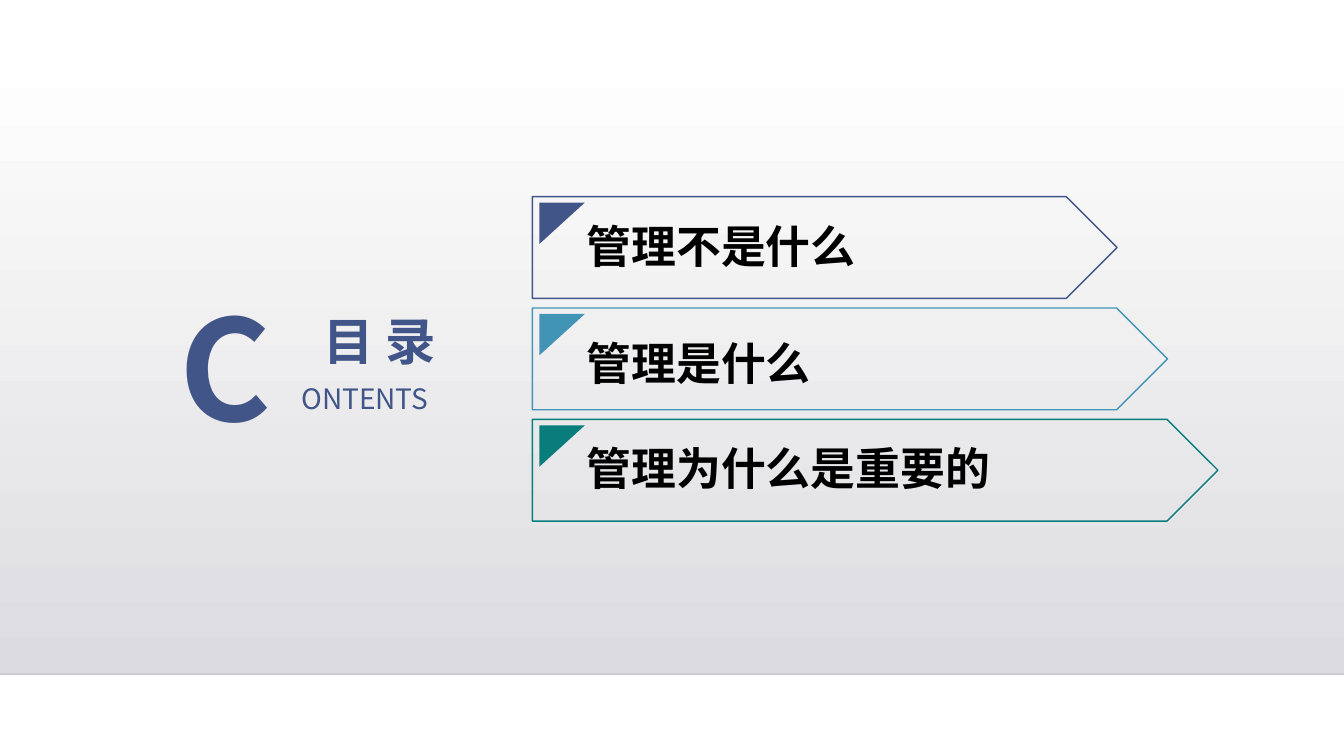
import pptx
import pptx.util
import pptx.dml.color
import pptx.enum.shapes
import pptx.enum.text
import pptx.oxml.ns
import lxml.etree

Inches = pptx.util.Inches
Pt = pptx.util.Pt
RGBColor = pptx.dml.color.RGBColor
Shape = pptx.enum.shapes.MSO_SHAPE
Anchor = pptx.enum.text.MSO_ANCHOR
Align = pptx.enum.text.PP_ALIGN
qn = pptx.oxml.ns.qn

NAVY = RGBColor(0x41, 0x55, 0x88)
BLUE = RGBColor(0x42, 0x94, 0xB6)
TEAL = RGBColor(0x08, 0x7D, 0x7C)
BLACK = RGBColor(0x00, 0x00, 0x00)
RULE = RGBColor(0x00, 0x00, 0x01)
GREY = RGBColor(0xDC, 0xDC, 0xE0)
WHITE = RGBColor(0xFF, 0xFF, 0xFF)
FONT = "Noto Sans CJK SC"
DEFAULT_INSETS = (0.1, 0.05, 0.1, 0.05)

CHAPTERS = [
    ("管理不是什么", NAVY, 0.5),
    ("管理是什么", BLUE, 0.56),
    ("管理为什么是重要的", TEAL, 0.5),
]


def add_text(page, box, text, size, color, bold=True, align=Align.LEFT,
             anchor=Anchor.BOTTOM, insets=DEFAULT_INSETS, spacing=None):
    """Place one line of text in a box given in inches."""
    frame = page.shapes.add_textbox(*map(Inches, box)).text_frame
    frame.word_wrap = True
    frame.vertical_anchor = anchor
    (frame.margin_left, frame.margin_top,
     frame.margin_right, frame.margin_bottom) = map(Inches, insets)
    para = frame.paragraphs[0]
    para.alignment = align
    if spacing:
        para.line_spacing = spacing
    span = para.add_run()
    span.text = text
    span.font.size = Pt(size)
    span.font.bold = bold
    span.font.name = FONT
    span.font.color.rgb = color
    east_asian = lxml.etree.SubElement(span.font._element, qn("a:ea"))
    east_asian.set("typeface", FONT)


def add_backdrop(page, left, top, width, height):
    """Draw the fading panel and the thin rule along its foot."""
    panel = page.shapes.add_shape(Shape.RECTANGLE, *map(Inches, (left, top, width, height)))
    panel.shadow.inherit = False
    panel.line.fill.background()
    panel.fill.gradient()
    panel.fill.gradient_angle = 90
    for stop, color, position in zip(panel.fill.gradient_stops, (GREY, WHITE), (0, 1)):
        stop.color.rgb = color
        stop.position = position

    foot = Inches(top + height)
    rule = page.shapes.add_connector(
        pptx.enum.shapes.MSO_CONNECTOR.STRAIGHT, Inches(left), foot, Inches(left + width), foot)
    rule.line.color.rgb = RULE
    rule.line.width = Pt(1)
    color_element = rule._element.spPr.find(".//" + qn("a:srgbClr"))
    lxml.etree.SubElement(color_element, qn("a:alpha")).set("val", "20000")
    lxml.etree.SubElement(rule._element.spPr, qn("a:effectLst"))


def add_heading(page, left, top):
    """Set the large initial with the two heading lines beside it."""
    add_text(page, (left, top, 2.04, 2.07), "C", 100, NAVY, align=Align.RIGHT,
             anchor=Anchor.MIDDLE, insets=(0, 0, 0, 0))
    add_text(page, (left + 2.24, top + 0.37, 1.75, 0.77), "目 录", 36, NAVY,
             align=Align.CENTER)
    add_text(page, (left + 2.24, top + 1.15, 1.75, 0.44), "ONTENTS", 20, NAVY,
             bold=False, align=Align.JUSTIFY, anchor=Anchor.TOP)


def add_chapter(page, left, top, width, title, color, title_height):
    """Draw one chapter arrow with its corner flag and title."""
    arrow = page.shapes.add_shape(Shape.PENTAGON, *map(Inches, (left, top, width, 1.01)))
    arrow.shadow.inherit = False
    arrow.fill.background()
    arrow.line.color.rgb = color
    arrow.line.width = Pt(1)

    flag_left, flag_top = Inches(left + 0.07), Inches(top + 0.06)
    builder = page.shapes.build_freeform(flag_left, flag_top)
    builder.add_line_segments([
        (flag_left + Inches(0.45), flag_top),
        (flag_left, flag_top + Inches(0.41)),
    ], close=True)
    flag = builder.convert_to_shape()
    flag.shadow.inherit = False
    flag.fill.solid()
    flag.fill.fore_color.rgb = color
    flag.line.fill.background()

    add_text(page, (left + 0.44, top + 0.25, 4.9, title_height), title, 32, BLACK,
             insets=(0.1, 0.05, 0.1, 0), spacing=1.2)


def add_chapters(page, left, top, width):
    """Stack the chapter arrows, each longer than the one above."""
    for index, (title, color, title_height) in enumerate(CHAPTERS):
        add_chapter(page, left, top + index * 1.105, width + index * 0.5,
                    title, color, title_height)


def main():
    """Build the contents slide and save it."""
    deck = pptx.Presentation()
    deck.slide_width = Inches(13.33)
    deck.slide_height = Inches(7.5)
    page = deck.slides.add_slide(deck.slide_layouts[6])
    add_backdrop(page, 0, 0.51, 13.33, 6.18)
    add_chapters(page, 5.28, 1.95, 5.8)
    add_heading(page, 0.65, 2.59)
    deck.save("out.pptx")


if __name__ == "__main__":
    main()
